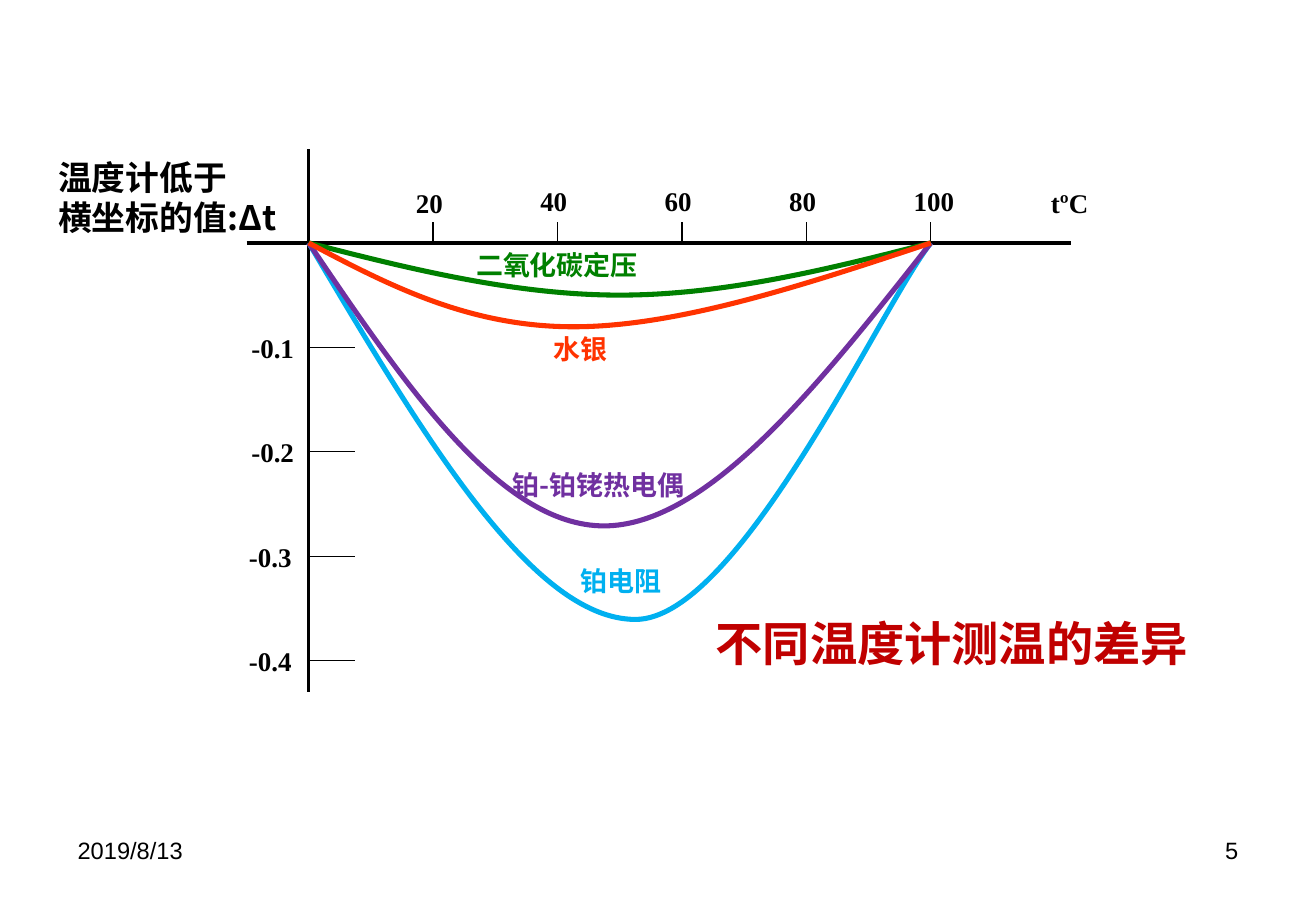
from lxml import etree
from pptx import Presentation
from pptx.dml.color import RGBColor
from pptx.enum import shapes as shape_enum, text as text_enum
from pptx.oxml.ns import qn
from pptx.util import Inches, Pt

BLACK = RGBColor(0x00, 0x00, 0x00)
BLUE = RGBColor(0x00, 0xB0, 0xF0)
PURPLE = RGBColor(0x70, 0x30, 0xA0)
GREEN = RGBColor(0x00, 0x80, 0x00)
ORANGE = RGBColor(0xFF, 0x33, 0x00)
RED = RGBColor(0xC0, 0x00, 0x00)

SANS = "Arial"
SERIF = "Times New Roman"
CHINESE = "Noto Sans CJK SC"

# Colour and Bezier points, relative to the axis origin
CURVES = [
    (BLUE, [(0, 0), (0.92, 1.55), (1.83, 3.1), (2.69, 3.1),
            (3.54, 3.1), (4.71, 0.52), (5.12, 0)]),
    (PURPLE, [(0, 0), (0.79, 1.17), (1.58, 2.33), (2.43, 2.33),
              (3.28, 2.33), (4.2, 1.17), (5.12, 0)]),
    (GREEN, [(0, 0), (0.85, 0.22), (1.71, 0.43), (2.56, 0.43),
             (3.41, 0.43), (4.27, 0.22), (5.12, 0)]),
    (ORANGE, [(0, 0), (0.66, 0.35), (1.32, 0.69), (2.18, 0.69),
              (3.03, 0.69), (4.07, 0.35), (5.12, 0)]),
]

# Text, colour and box, relative to the axis origin
CURVE_LABELS = [
    ("水银", ORANGE, (1.92, 0.69, 1.53, 0.37)),
    ("二氧化碳定压", GREEN, (1.28, 0, 2.81, 0.37)),
    ("铂-铂铑热电偶", PURPLE, (1.58, 1.81, 3.2, 0.37)),
    ("铂电阻", BLUE, (2.14, 2.6, 1.22, 0.37)),
]


def format_text(frame, text, size, font, color=BLACK, bold=True):
    frame.text = text
    frame.word_wrap = True
    for paragraph in frame.paragraphs:
        for run in paragraph.runs:
            run.font.size = Pt(size)
            run.font.name = font
            run.font.bold = bold
            run.font.color.rgb = color
            east_asian = etree.SubElement(run._r.get_or_add_rPr(), qn("a:ea"))
            east_asian.set("typeface", font)


def add_text(slide, box, text, size, font, **style):
    shape = slide.shapes.add_textbox(*[Inches(length) for length in box])
    format_text(shape.text_frame, text, size, font, **style)
    return shape.text_frame


def add_line(slide, x1, y1, x2, y2, width):
    line = slide.shapes.add_connector(
        shape_enum.MSO_CONNECTOR.STRAIGHT,
        Inches(x1), Inches(y1), Inches(x2), Inches(y2))
    line.line.color.rgb = BLACK
    line.line.width = Pt(width)
    etree.SubElement(line._element.spPr, qn("a:effectLst"))


def round_segments(curve):
    """Turn every three straight segments into one Bezier segment."""
    outline = next(curve._element.iter(qn("a:path")))
    segments = outline.findall(qn("a:lnTo"))
    for start in range(0, len(segments), 3):
        bezier = etree.SubElement(outline, qn("a:cubicBezTo"))
        for segment in segments[start:start + 3]:
            bezier.append(segment[0])
            outline.remove(segment)


def add_curve(slide, left, top, color, controls):
    points = [(Inches(left + x), Inches(top + y)) for x, y in controls]
    builder = slide.shapes.build_freeform(*points[0])
    builder.add_line_segments(points[1:], close=False)
    curve = builder.convert_to_shape()
    round_segments(curve)
    curve.shadow.inherit = False
    curve.fill.background()
    curve.line.color.rgb = color
    curve.line.width = Pt(3)


def add_axes(slide, left, top):
    add_line(slide, left - 0.51, top, left + 6.27, top, 2)
    add_line(slide, left, top - 0.77, left, top + 3.7, 2)
    # Temperature ticks
    for number in range(1, 6):
        x = left + 5.12 * number / 5
        add_line(slide, x, top - 0.17, x, top, 0.75)
        label_top = top - (0.51 if number == 1 else 0.53)
        label_width = 1.41 if number == 5 else 0.9
        add_text(slide, (x - 0.24, label_top, label_width, 0.37),
                 str(20 * number), 16, SERIF)
    # Difference ticks
    for number in range(1, 5):
        y = top + 0.86 * number
        add_line(slide, left + 0.38, y, left, y, 0.75)
        label_left = left - (0.57 if number < 3 else 0.59)
        add_text(slide, (label_left, y - 0.18, 1.15, 0.37), f"-0.{number}", 16, SERIF)
    # Axis names
    add_text(slide, (left + 6.01, top - 0.51, 1.15, 0.37), "tºC", 16, SERIF)
    frame = add_text(slide, (left - 2.16, top - 0.76, 2.94, 0.77),
                     "温度计低于\n横坐标的值:Δt", 20, CHINESE)
    for paragraph in frame.paragraphs:
        paragraph.line_spacing = Pt(24)


def add_graph(slide, left, top):
    add_axes(slide, left, top)
    for color, controls in CURVES:
        add_curve(slide, left, top, color, controls)
    for text, color, (x, y, width, height) in CURVE_LABELS:
        add_text(slide, (left + x, top + y, width, height), text, 16, CHINESE, color=color)


def add_title(slide, left, top, width, height):
    title = slide.shapes.title
    title.left, title.top = Inches(left), Inches(top)
    title.width, title.height = Inches(width), Inches(height)
    format_text(title.text_frame, "不同温度计测温的差异", 28, CHINESE, color=RED)
    title.text_frame.vertical_anchor = text_enum.MSO_ANCHOR.TOP
    title.text_frame.auto_size = text_enum.MSO_AUTO_SIZE.NONE
    title.text_frame.paragraphs[0].alignment = text_enum.PP_ALIGN.LEFT


def add_footer(slide, left, top, width, height):
    field = 2.53
    add_text(slide, (left, top, field, height), "2019/8/13", 14, SANS, bold=False)
    frame = add_text(slide, (left + width - field, top, field, height),
                     "5", 14, SANS, bold=False)
    frame.paragraphs[0].alignment = text_enum.PP_ALIGN.RIGHT


def main():
    presentation = Presentation()
    presentation.slide_width = Inches(10.83)
    presentation.slide_height = Inches(7.5)
    slide = presentation.slides.add_slide(presentation.slide_layouts[5])
    add_footer(slide, 0.54, 6.83, 9.75, 0.52)
    add_graph(slide, 2.54, 2)
    add_title(slide, 5.79, 5.01, 4.86, 0.57)
    presentation.save("out.pptx")


if __name__ == "__main__":
    main()
